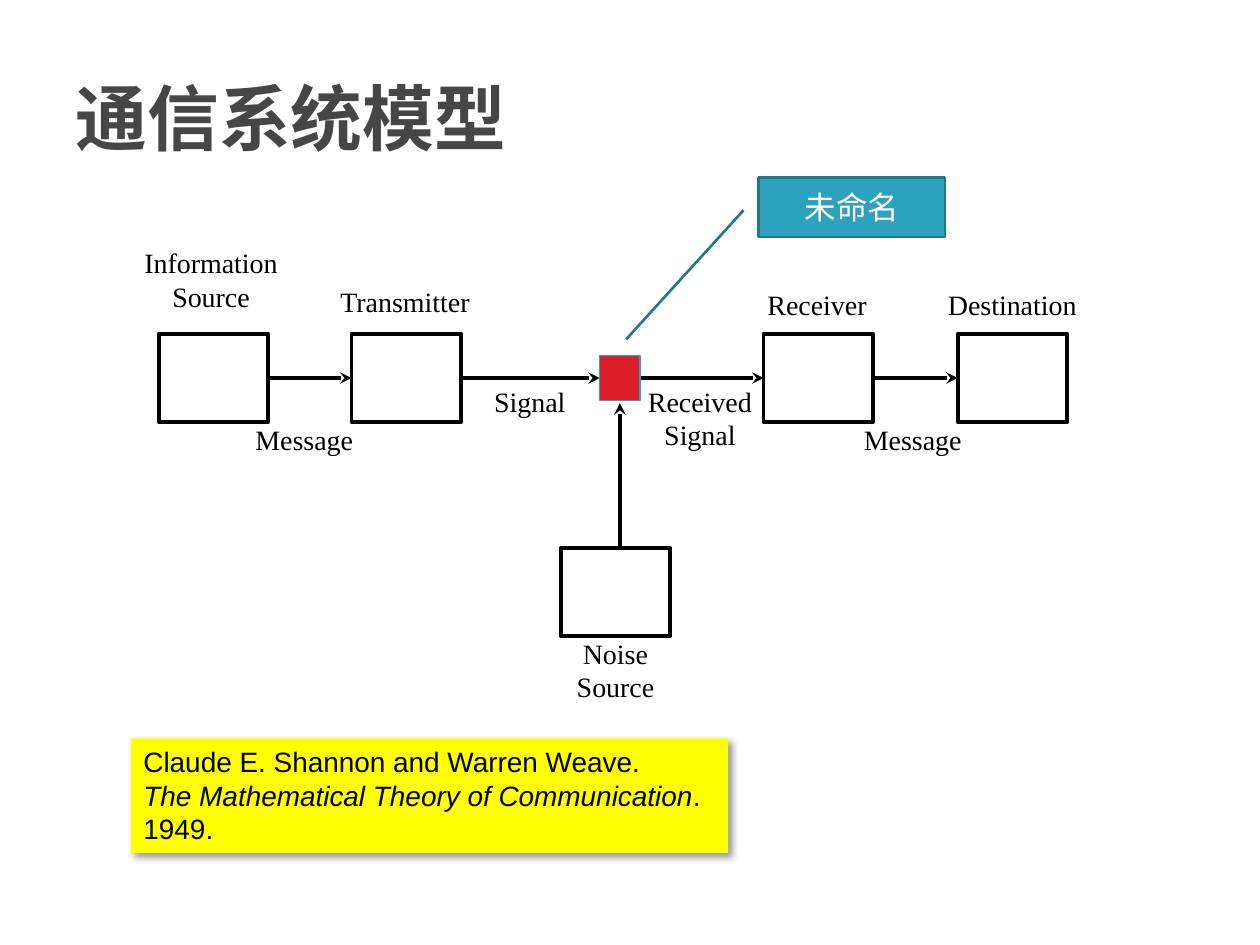
from dataclasses import dataclass

from lxml.etree import SubElement
from pptx import Presentation
from pptx.dml.color import RGBColor as Rgb
from pptx.enum.shapes import MSO_CONNECTOR as Connector, MSO_SHAPE as Preset
from pptx.enum.text import MSO_ANCHOR as Anchor, MSO_AUTO_SIZE as AutoSize, PP_ALIGN as Align
from pptx.oxml.ns import qn
from pptx.util import Inches, Pt

COLORS = {
    "black": "000000",
    "white": "FFFFFF",
    "title": "464646",
    "red": "DA1F28",
    "teal": "2DA2BF",
    "dark_teal": "21788D",
    "yellow": "FFFF00",
}
SERIF, SANS, MONO = "Times New Roman", "Arial", "Courier New"
BOX_WIDTH, BOX_HEIGHT, BOX_TOP = 0.87, 0.7, 2.65
AXIS = BOX_TOP + BOX_HEIGHT / 2


@dataclass
class Label:
    lines: list[str]
    left: float
    top: float
    width: float = 1.27
    height: float = 0.37


@dataclass
class Arrow:
    x1: float
    y1: float
    x2: float
    y2: float


LABELS = [
    Label(["Information", "Source"], 1.04, 1.95, height=0.69),
    Label(["Transmitter"], 2.58, 2.26),
    Label(["Noise", "Source"], 4.25, 5.05, height=0.69),
    Label(["Receiver"], 5.85, 2.28),
    Label(["Destination"], 7.4, 2.28),
    Label(["Message"], 1.78, 3.35),
    Label(["Signal"], 3.77, 3.05, width=0.87),
    Label(["Received", "Signal"], 5.12, 3.05, width=0.87, height=0.67),
    Label(["Message"], 6.61, 3.35),
]
BOXES = [(1.26, BOX_TOP), (2.79, BOX_TOP), (6.06, BOX_TOP), (7.6, BOX_TOP), (4.45, 4.35)]
ARROWS = [Arrow(x1, AXIS, x2, AXIS) for x1, x2 in
          [(2.13, 2.79), (3.67, 4.76), (5.08, 6.06), (6.93, 7.6)]]
ARROWS.append(Arrow(4.92, 4.34, 4.92, 3.2))
CITATION = [
    [("Claude E. Shannon and Warren Weave.", False)],
    [("The Mathematical Theory of Communication", True), (".", False)],
    [("1949.", False)],
]


def color(name: str) -> Rgb:
    return Rgb.from_string(COLORS[name])


def add_box(page, left: float, top: float, width: float, height: float, fill: str,
            line: str | None = None, weight: float = 2.25, preset=Preset.RECTANGLE):
    box = page.shapes.add_shape(preset, Inches(left), Inches(top), Inches(width), Inches(height))
    box.shadow.inherit = False
    box.fill.solid()
    box.fill.fore_color.rgb = color(fill)
    if line:
        box.line.color.rgb = color(line)
        box.line.width = Pt(weight)
    else:
        box.line.fill.background()
    return box


def write(frame, lines: list, font: str, size: float, ink: str, align, anchor,
          bold: bool = False) -> None:
    frame.vertical_anchor = anchor
    for index, parts in enumerate(lines):
        para = frame.paragraphs[0] if index == 0 else frame.add_paragraph()
        para.alignment = align
        for text, italic in parts:
            span = para.add_run()
            span.text = text
            span.font.name = font
            span.font.size = Pt(size)
            span.font.bold = bold
            span.font.italic = italic
            span.font.color.rgb = color(ink)


def add_label(page, label: Label) -> None:
    box = add_box(page, label.left, label.top, label.width, label.height, "white")
    frame = box.text_frame
    frame.margin_left = frame.margin_right = frame.margin_top = frame.margin_bottom = 0
    write(frame, [[(line, False)] for line in label.lines], SERIF, 16, "black",
          Align.CENTER, Anchor.TOP)


def add_arrow(page, arrow: Arrow) -> None:
    line = page.shapes.add_connector(Connector.STRAIGHT, Inches(arrow.x1), Inches(arrow.y1),
                                     Inches(arrow.x2), Inches(arrow.y2))
    line.line.color.rgb = color("black")
    line.line.width = Pt(2.25)
    properties = line._element.spPr
    SubElement(properties.find(qn("a:ln")), qn("a:tailEnd"), type="stealth")
    SubElement(properties, qn("a:effectLst"))


def add_shadow(box) -> None:
    effects = box._element.spPr.find(qn("a:effectLst"))
    shadow = SubElement(effects, qn("a:outerShdw"), blurRad=str(Pt(4)), dist=str(Pt(3)),
                        dir=str(45 * 60000), algn="tl", rotWithShape="0")
    ink = SubElement(shadow, qn("a:srgbClr"), val=COLORS["black"])
    SubElement(ink, qn("a:alpha"), val="40000")


def add_title(page) -> None:
    title = page.shapes.title
    title.left, title.top, title.width, title.height = map(Inches, (0.5, 0.3, 9, 1.25))
    title.text_frame.auto_size = AutoSize.NONE
    write(title.text_frame, [[("通信系统模型", False)]], MONO, 41, "title",
          Align.LEFT, Anchor.MIDDLE, bold=True)


def add_citation(page) -> None:
    box = add_box(page, 1.04, 5.86, 4.74, 0.91, "yellow")
    add_shadow(box)
    box.text_frame.word_wrap = False
    box.text_frame.auto_size = AutoSize.SHAPE_TO_FIT_TEXT
    write(box.text_frame, CITATION, SANS, 16, "black", Align.LEFT, Anchor.TOP)


def add_callout(page) -> None:
    callout = add_box(page, 6.02, 1.41, 1.48, 0.47, "teal", "dark_teal", 1.5,
                      Preset.LINE_CALLOUT_1)
    for index, value in enumerate((0.55, -0.08, 2.73, -0.71)):
        callout.adjustments[index] = value
    write(callout.text_frame, [[("未命名", False)]], MONO, 18, "white",
          Align.CENTER, Anchor.MIDDLE)


def main() -> None:
    deck = Presentation()
    deck.slide_width, deck.slide_height = Inches(10), Inches(7.5)
    page = deck.slides.add_slide(deck.slide_layouts[5])
    add_title(page)
    for label in LABELS:
        add_label(page, label)
    for left, top in BOXES:
        add_box(page, left, top, BOX_WIDTH, BOX_HEIGHT, "white", "black")
    for arrow in ARROWS:
        add_arrow(page, arrow)
    add_box(page, 4.76, 2.82, 0.32, 0.36, "red", "teal", 0.75)
    add_citation(page)
    add_callout(page)
    deck.save("out.pptx")


if __name__ == "__main__":
    main()
